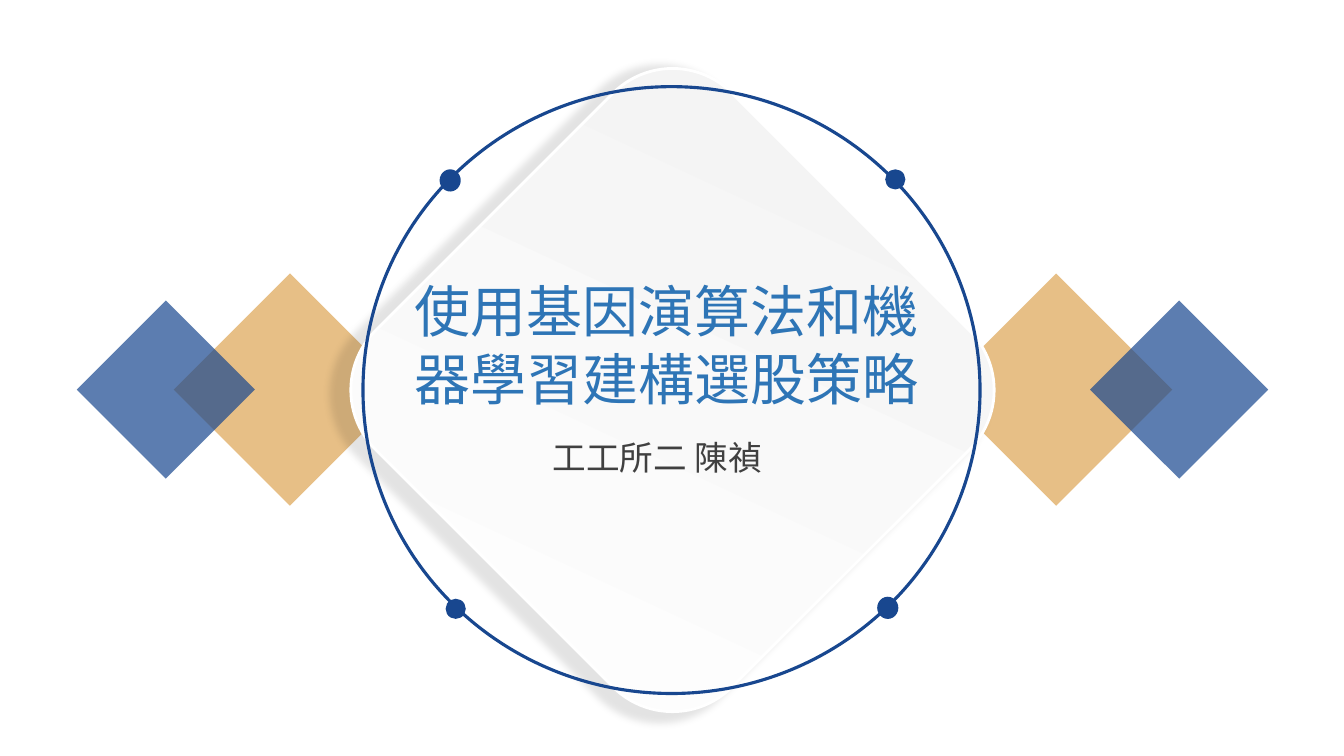
import pptx
import pptx.dml.color
import pptx.enum.shapes
import pptx.enum.text
import pptx.oxml
import pptx.oxml.ns
import pptx.util

Inches = pptx.util.Inches
Pt = pptx.util.Pt
MSO_SHAPE = pptx.enum.shapes.MSO_SHAPE
PP_ALIGN = pptx.enum.text.PP_ALIGN
qn = pptx.oxml.ns.qn
NS = pptx.oxml.ns.nsdecls("a")

COLORS = {
    "gold": "DDA553",
    "navy": "18478F",
    "blue": "2E75B6",
    "gray": "404040",
    "light": "F2F2F2",
    "white": "FFFFFF",
}


def rgb(name):
    return pptx.dml.color.RGBColor.from_string(COLORS[name])


def add_plain(kind, left, top, width, height, color=None):
    """Add a shape without line or shadow, filled only if a color is given."""
    sp = s.shapes.add_shape(kind, Inches(left), Inches(top), Inches(width), Inches(height))
    sp.shadow.inherit = False
    sp.line.fill.background()
    if color:
        sp.fill.solid()
        sp.fill.fore_color.rgb = rgb(color)
    else:
        sp.fill.background()
    return sp


prs = pptx.Presentation()
prs.slide_width = Inches(13.33)
prs.slide_height = Inches(7.5)
s = prs.slides.add_slide(prs.slide_layouts[0])

# Translucent diamonds on both sides
diamonds = [
    (2.06, 3.05, 1.63, "gold", 45),
    (1.02, 3.24, 1.25, "navy", 45),
    (9.66, 3.05, 1.63, "gold", 225),
    (11.07, 3.24, 1.25, "navy", 225),
]
for left, top, side, color, angle in diamonds:
    sp = add_plain(MSO_SHAPE.RECTANGLE, left, top, side, side, color)
    sp.rotation = angle
    clr = sp.fill._xPr.find(qn("a:solidFill"))[0]
    clr.append(pptx.oxml.parse_xml(f'<a:alpha {NS} val="70000"/>'))

# Rounded center panel
panel = add_plain(MSO_SHAPE.ROUNDED_RECTANGLE, 4.17, 1.37, 5, 5)
panel.rotation = 45
panel.fill.gradient()
panel.fill.gradient_angle = 110
for stop, color in zip(panel.fill.gradient_stops, ("white", "light")):
    stop.color.rgb = rgb(color)
panel.line.color.rgb = rgb("white")
panel.line.width = Pt(2)
effects = panel._element.spPr.find(qn("a:effectLst"))
effects.append(pptx.oxml.parse_xml(
    f'<a:outerShdw {NS} blurRad="{Pt(5)}" dist="{Pt(6)}" dir="10200000" sx="102000" sy="102000" '
    'algn="ctr" rotWithShape="0"><a:srgbClr val="000000"><a:alpha val="11000"/></a:srgbClr>'
    '</a:outerShdw>'))

ring = add_plain(MSO_SHAPE.OVAL, 3.6, 0.86, 6.12, 6.02)
ring.line.color.rgb = rgb("navy")
ring.line.width = Pt(2.25)

# Title and author, brought in front of the panel
texts = [
    (s.placeholders[1], (5.38, 4.28, 3.7, 0.5), "工工所二 陳禎",
     24, "Times New Roman", "gray", PP_ALIGN.LEFT),
    (s.shapes.title, (3.98, 2.69, 5.26, 1.45), "使用基因演算法和機器學習建構選股策略",
     40, "Noto Sans CJK SC", "blue", PP_ALIGN.CENTER),
]
for sp, box, text, size, font, color, align in texts:
    sp.left, sp.top, sp.width, sp.height = map(Inches, box)
    s.shapes._spTree.append(sp._element)
    tf = sp.text_frame
    tf.text = text
    tf.word_wrap = True
    tf.auto_size = pptx.enum.text.MSO_AUTO_SIZE.NONE
    tf.vertical_anchor = pptx.enum.text.MSO_ANCHOR.TOP
    p = tf.paragraphs[0]
    p.alignment = align
    p.space_before = Pt(0)
    p.line_spacing = Pt(size * 1.21)
    r = p.runs[0]
    r.font.size = Pt(size)
    r.font.name = font
    r.font.color.rgb = rgb(color)
    r.font._element.find(qn("a:latin")).addnext(
        pptx.oxml.parse_xml(f'<a:ea {NS} typeface="Noto Sans CJK SC"/>'))

# Dots on the ring
dots = [(4.36, 1.68, 0.21, 0.22), (8.7, 5.92, 0.21, 0.22),
        (4.42, 5.94, 0.2, 0.2), (8.78, 1.68, 0.2, 0.2)]
for box in dots:
    add_plain(MSO_SHAPE.OVAL, *box, "navy")

prs.save("out.pptx")
